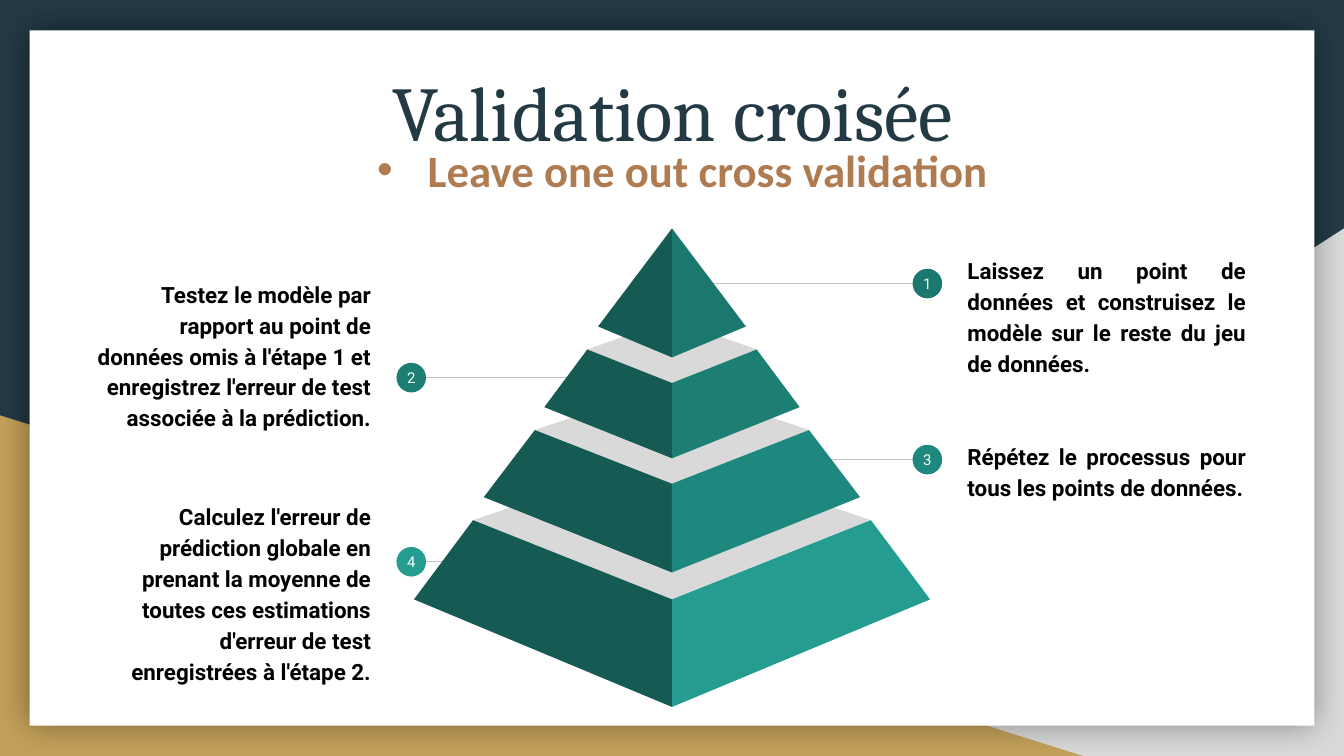
from typing import NamedTuple

from lxml.etree import SubElement
from pptx import Presentation
from pptx.dml.color import RGBColor
from pptx.enum.shapes import MSO_CONNECTOR, MSO_SHAPE
from pptx.enum.text import MSO_ANCHOR as Anchor, MSO_AUTO_SIZE, PP_ALIGN as Align
from pptx.oxml import parse_xml
from pptx.oxml.ns import nsdecls, qn
from pptx.util import Inches, Pt

# The slide is a grid of square cells, 100 columns wide.
CELL = Inches(0.1)
COLUMNS, ROWS = 100, 56.25
AXIS = 50
BADGE = 2.2

NAVY = RGBColor(0x23, 0x3A, 0x44)
GOLD = RGBColor(0xC4, 0xA1, 0x5A)
BROWN = RGBColor(0xAF, 0x7B, 0x51)
GRAY = RGBColor(0xD9, 0xD9, 0xD9)
LINE_GRAY = RGBColor(0xC2, 0xC2, 0xC2)
WHITE = RGBColor(0xFF, 0xFF, 0xFF)
BLACK = RGBColor(0, 0, 0)
DARK_TEAL = RGBColor(0x15, 0x5B, 0x54)
TEALS = (
    RGBColor(0x1B, 0x78, 0x6E),
    RGBColor(0x1D, 0x7E, 0x74),
    RGBColor(0x1F, 0x88, 0x7E),
    RGBColor(0x24, 0x9C, 0x90),
)


class Box(NamedTuple):
    column: float
    row: float
    columns: float
    rows: float


class Tier(NamedTuple):
    """Half widths and rows of one pyramid layer; back is the far corner of its top."""
    back: float
    top_half: float
    top_side: float
    top_front: float
    base_half: float
    base_side: float
    base_front: float


class Step(NamedTuple):
    text: str
    on_right: bool
    text_row: float
    line_row: float
    line_column: float
    bottom_inset: float


TIERS = (
    Tier(17, 0, 17, 17, 5.5, 24.3, 26.6),
    Tier(23.8, 6.3, 26, 28.5, 9.5, 30.3, 34.1),
    Tier(28.6, 10.2, 32, 36, 14, 37, 42.6),
    Tier(33.7, 14.8, 38.7, 44.6, 19.2, 44.6, 52.6),
)
STEPS = (
    Step("Laissez un point de données et construisez le modèle sur le reste "
         "du jeu de données.", True, 18.7, 21.1, 52.9, 3),
    Step("Testez le modèle par rapport au point de données omis à l'étape 1 et "
         "enregistrez l'erreur de test associée à la prédiction.",
         False, 20.6, 28.1, 42.2, 1),
    Step("Répétez le processus pour tous les points de données.",
         True, 29.2, 34.2, 61.5, 1),
    Step("Calculez l'erreur de prédiction globale en prenant la moyenne de toutes "
         "ces estimations d'erreur de test enregistrées à l'étape 2.",
         False, 39.3, 41.8, 42.2, 3),
)


def cells(count: float) -> int:
    return round(count * CELL)


def place(shape, box: Box) -> None:
    shape.left, shape.top, shape.width, shape.height = map(cells, box)


def paint(shape, color: RGBColor) -> None:
    shape.shadow.inherit = False
    shape.fill.solid()
    shape.fill.fore_color.rgb = color
    shape.line.fill.background()


def add_preset(slide, kind, box: Box, color: RGBColor):
    shape = slide.shapes.add_shape(kind, *map(cells, box))
    paint(shape, color)
    return shape


def write(shape, text: str, font_name: str, size: float, color: RGBColor,
          align: Align, anchor=Anchor.TOP, bold=False, spacing=1.0,
          inset=1.0, bottom_inset=None) -> None:
    frame = shape.text_frame
    frame.word_wrap = True
    frame.auto_size = MSO_AUTO_SIZE.NONE
    frame.vertical_anchor = anchor
    frame.margin_left = frame.margin_right = frame.margin_top = cells(inset)
    frame.margin_bottom = cells(inset if bottom_inset is None else bottom_inset)
    frame.text = text
    paragraph = frame.paragraphs[0]
    paragraph.alignment = align
    paragraph.line_spacing = spacing
    paragraph.space_before = Pt(0)
    font = paragraph.font
    font.name, font.size, font.bold = font_name, Pt(size), bold
    font.color.rgb = color


def add_backdrop(slide) -> None:
    slide.background.fill.solid()
    slide.background.fill.fore_color.rgb = NAVY
    corner = add_preset(slide, MSO_SHAPE.RIGHT_TRIANGLE, Box(39.2, 17, 60.8, 39.25), GRAY)
    corner.element.spPr.find(qn("a:xfrm")).set("flipH", "1")
    add_preset(slide, MSO_SHAPE.RIGHT_TRIANGLE, Box(0, 30.9, 80.6, 25.35), GOLD)
    card = add_preset(slide, MSO_SHAPE.RECTANGLE, Box(2.2, 2.25, 95.6, 51.75), WHITE)
    effects = card.element.spPr.find(qn("a:effectLst"))
    effects.append(parse_xml(
        f'<a:outerShdw {nsdecls("a")} blurRad="{Pt(18)}" dist="0" dir="0" '
        'algn="ctr" rotWithShape="0"><a:srgbClr val="000000">'
        '<a:alpha val="40000"/></a:srgbClr></a:outerShdw>'))


def add_headings(slide) -> None:
    title, subtitle = slide.shapes.title, slide.placeholders[1]
    properties = subtitle.text_frame.paragraphs[0]._p.get_or_add_pPr()
    properties.set("marL", "0")
    properties.set("indent", "0")
    SubElement(properties, qn("a:buNone"))
    place(subtitle, Box(10.1, 9, 82.1, 6.3))
    write(subtitle, "Leave one out cross validation ", "Calibri", 24, BROWN,
          Align.CENTER, bold=True, spacing=1.15)
    place(title, Box(9, 1.7, 82.1, 10.4))
    write(title, "Validation croisée", "Cambria", 41.5, NAVY, Align.CENTER, spacing=1.3)
    for placeholder in (subtitle, title):  # bring in front of the card
        slide.shapes._spTree.append(placeholder.element)


def add_step(slide, number: int, step: Step, color: RGBColor) -> None:
    text_column = 71 if step.on_right else 5.9
    badge_column = 67.9 if step.on_right else 29.5
    text_box = slide.shapes.add_textbox(
        *map(cells, Box(text_column, step.text_row, 22.7, 11.5)))
    write(text_box, step.text, "Roboto", 12, BLACK,
          Align.JUSTIFY if step.on_right else Align.RIGHT, Anchor.MIDDLE,
          bold=True, spacing=1.15, bottom_inset=step.bottom_inset)
    row = cells(step.line_row)
    line = slide.shapes.add_connector(
        MSO_CONNECTOR.STRAIGHT, cells(step.line_column), row,
        cells(badge_column + BADGE / 2), row)
    line.line.color.rgb = LINE_GRAY
    line.line.width = Pt(0.75)
    SubElement(line.element.spPr, qn("a:effectLst"))
    badge = add_preset(slide, MSO_SHAPE.OVAL,
                       Box(badge_column, step.line_row - BADGE / 2, BADGE, BADGE), color)
    write(badge, str(number), "Roboto", 8, WHITE, Align.CENTER, Anchor.MIDDLE, inset=0)


def add_polygon(slide, points: list[tuple[float, float]], color: RGBColor) -> None:
    start, *others = [(cells(column), cells(row)) for column, row in points]
    builder = slide.shapes.build_freeform(*start)
    builder.add_line_segments(others, close=True)
    paint(builder.convert_to_shape(), color)


def add_pyramid(slide) -> None:
    for tier in reversed(TIERS[1:]):
        add_polygon(slide, [(AXIS - tier.top_half, tier.top_side), (AXIS, tier.top_front),
                            (AXIS + tier.top_half, tier.top_side), (AXIS, tier.back)], GRAY)
    for tier, teal in zip(TIERS, TEALS):
        for side, color in ((-1, DARK_TEAL), (1, teal)):
            add_polygon(slide, [(AXIS + side * tier.top_half, tier.top_side),
                                (AXIS, tier.top_front), (AXIS, tier.base_front),
                                (AXIS + side * tier.base_half, tier.base_side)], color)


def main() -> None:
    presentation = Presentation()
    presentation.slide_width = cells(COLUMNS)
    presentation.slide_height = cells(ROWS)
    slide = presentation.slides.add_slide(presentation.slide_layouts[1])
    add_backdrop(slide)
    add_headings(slide)
    for number, (step, color) in enumerate(zip(STEPS, TEALS), start=1):
        add_step(slide, number, step, color)
    add_pyramid(slide)
    presentation.save("out.pptx")


if __name__ == "__main__":
    main()
